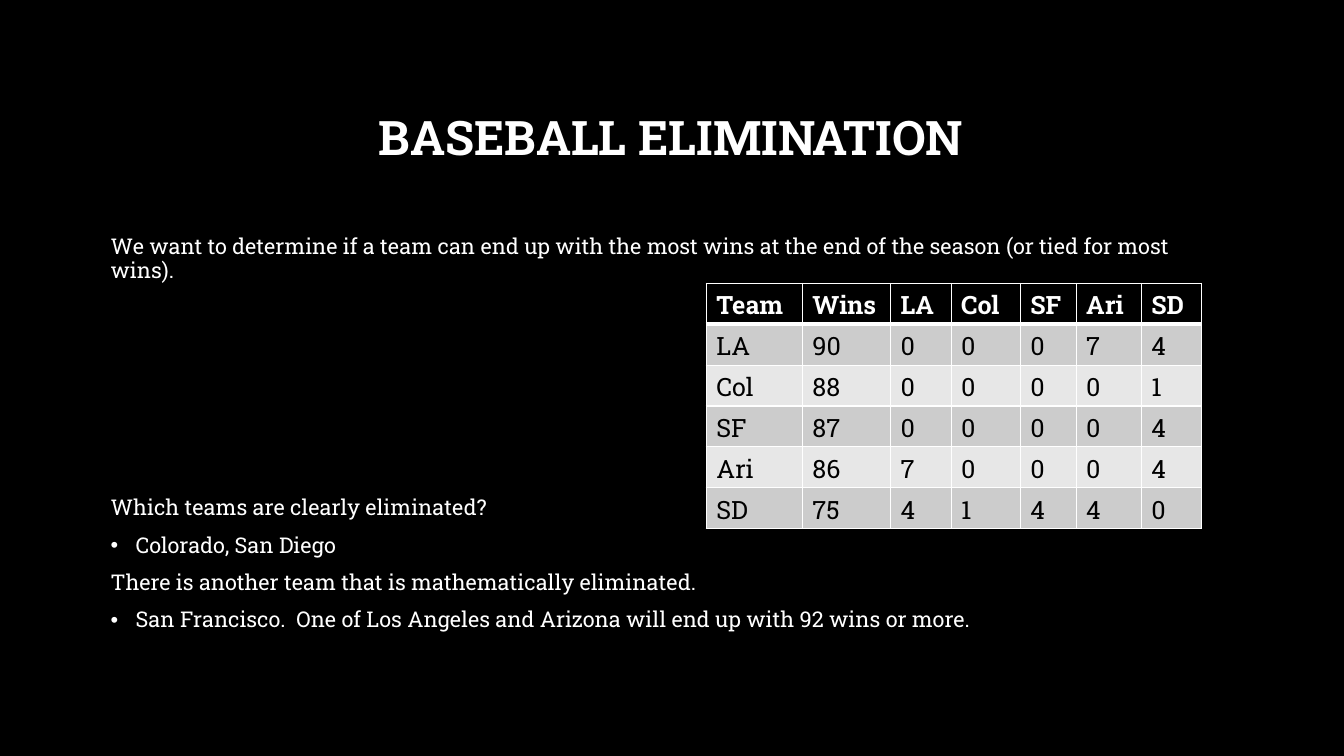
from lxml import etree
from pptx import Presentation
from pptx.dml.color import RGBColor
from pptx.enum.text import MSO_ANCHOR, PP_ALIGN
from pptx.oxml.ns import qn
from pptx.util import Cm, Pt

MIDDLE, TOP = MSO_ANCHOR.MIDDLE, MSO_ANCHOR.TOP
CENTER, LEFT = PP_ALIGN.CENTER, PP_ALIGN.LEFT

BLACK = RGBColor(0x00, 0x00, 0x00)
WHITE = RGBColor(0xFF, 0xFF, 0xFF)
DARK = RGBColor(0xCC, 0xCC, 0xCC)
LIGHT = RGBColor(0xE7, 0xE7, 0xE7)

# text, bulleted, space before in points
BODY = [
    ("We want to determine if a team can end up with the most wins "
     "at the end of the season (or tied for most wins).", False, 0),
    ("Which teams are clearly eliminated?", False, 153),
    ("Colorado, San Diego", True, 10),
    ("There is another team that is mathematically eliminated.", False, 10),
    ("San Francisco.  One of Los Angeles and Arizona will end up "
     "with 92 wins or more.", True, 10),
]
GAMES = [
    ["Team", "Wins", "LA", "Col", "SF", "Ari", "SD"],
    ["LA", "90", "0", "0", "0", "7", "4"],
    ["Col", "88", "0", "0", "0", "0", "1"],
    ["SF", "87", "0", "0", "0", "0", "4"],
    ["Ari", "86", "7", "0", "0", "0", "4"],
    ["SD", "75", "4", "1", "4", "4", "0"],
]
WIDTHS = [2.42, 2.22, 1.53, 1.74, 1.41, 1.64, 1.51]


class Deck:
    font = "Roboto Slab"

    def __init__(self):
        self.prs = Presentation()
        self.prs.slide_width, self.prs.slide_height = Cm(33.87), Cm(19.05)
        self.slide = self.prs.slides.add_slide(self.prs.slide_layouts[6])
        fill = self.slide.background.fill
        fill.solid()
        fill.fore_color.rgb = BLACK

    def run(self, para, text, size, color=WHITE, bold=False):
        run = para.add_run()
        run.text = text
        font = run.font
        font.name, font.size, font.bold = self.font, Pt(size), bold
        font.color.rgb = color

    def bullet(self, para):
        props = para._p.get_or_add_pPr()
        indent = Cm(0.63)
        props.set("marL", str(indent))
        props.set("indent", str(-indent))
        etree.SubElement(props, qn("a:buFont"), typeface="Arial")
        etree.SubElement(props, qn("a:buChar"), char="•")

    def text(self, top, height, items, size, bold=False,
             align=LEFT, anchor=TOP):
        box = self.slide.shapes.add_textbox(
            Cm(2.54), Cm(top), Cm(28.75), Cm(height))
        frame = box.text_frame
        frame.word_wrap = True
        frame.vertical_anchor = anchor
        for i, (words, dotted, gap) in enumerate(items):
            para = frame.add_paragraph() if i else frame.paragraphs[0]
            para.alignment = align
            para.line_spacing = 0.9
            para.space_before = Pt(gap)
            if dotted:
                self.bullet(para)
            self.run(para, words, size, bold=bold)

    def border(self, cell, sides):
        """Draw white cell edges; sides maps L, R, T, B to points."""
        props = cell._tc.get_or_add_tcPr()
        for i, (side, width) in enumerate(sides.items()):
            line = etree.Element(qn("a:ln" + side), w=str(Pt(width)))
            fill = etree.SubElement(line, qn("a:solidFill"))
            etree.SubElement(fill, qn("a:srgbClr"), val=str(WHITE))
            props.insert(i, line)

    def table(self, left, top, widths, height, rows):
        frame = self.slide.shapes.add_table(
            len(rows), len(widths), Cm(left), Cm(top),
            Cm(sum(widths)), Cm(height * len(rows)))
        grid = frame.table
        grid.horz_banding = False
        for col, width in zip(grid.columns, widths):
            col.width = Cm(width)
        for r, row in enumerate(rows):
            grid.rows[r].height = Cm(height)
            head = r == 0
            back = BLACK if head else DARK if r % 2 else LIGHT
            sides = {"L": 1, "R": 1, "T": 3 if r == 1 else 1,
                     "B": 3 if head else 1}
            for c, words in enumerate(row):
                cell = grid.cell(r, c)
                cell.fill.solid()
                cell.fill.fore_color.rgb = back
                self.border(cell, sides)
                self.run(cell.text_frame.paragraphs[0], words, 18,
                         WHITE if head else BLACK, head)


def main():
    deck = Deck()
    deck.text(1.7, 3.68, [("BASEBALL ELIMINATION", False, 0)], 34,
              bold=True, align=CENTER, anchor=MIDDLE)
    deck.text(5.82, 10.26, BODY, 15.5)
    deck.table(17.8, 7.14, WIDTHS, 1.03, GAMES)
    deck.prs.save("out.pptx")


if __name__ == "__main__":
    main()
